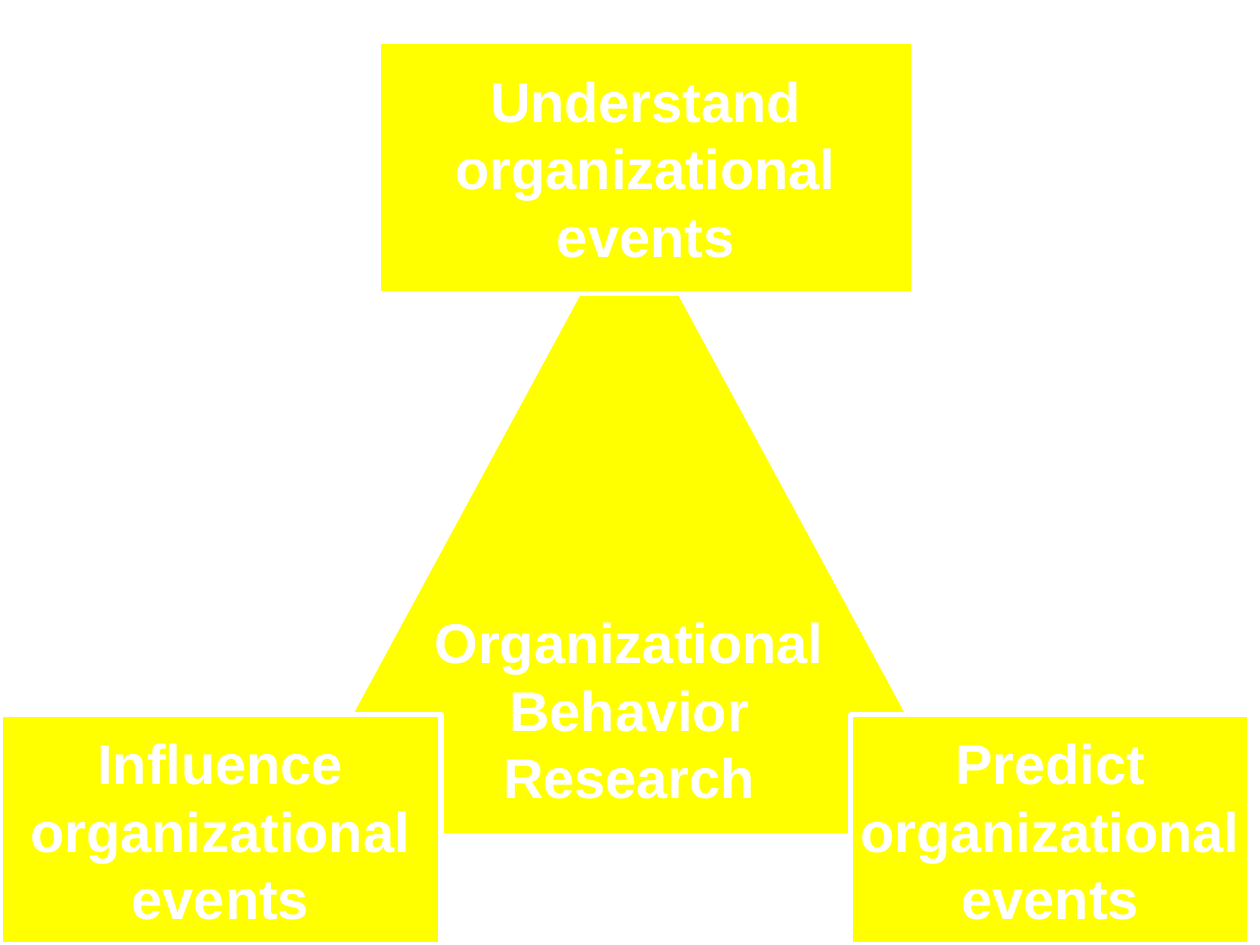
"""Draw the three aims of organizational behavior research around a triangle."""
from pptx import Presentation
from pptx import util as u
from pptx.dml.color import RGBColor
from pptx.enum import shapes, text

YELLOW = RGBColor(0xFF, 0xFF, 0x00)
WHITE = RGBColor(0xFF, 0xFF, 0xFF)
FONT = {"name": "Arial", "size": u.Pt(32), "bold": True}
FRAME = {
    "word_wrap": False,
    "vertical_anchor": text.MSO_ANCHOR.MIDDLE,
    "margin_left": u.Inches(0.1),
    "margin_right": u.Inches(0.1),
    "margin_top": u.Inches(0.05),
    "margin_bottom": u.Inches(0.05),
}
AIMS = [
    ("Understand", (3, 0.33, 4.25, 2)),
    ("Predict", (6.75, 5.67, 3.17, 1.83)),
    ("Influence", (0, 5.67, 3.5, 1.83)),
]


def style(item, form):
    for key, value in form.items():
        setattr(item, key, value)


def write(frame, lines, form):
    style(frame, form)
    frame.text = "\n".join(lines)
    for para in frame.paragraphs:
        para.alignment = text.PP_ALIGN.CENTER
        style(para.font, FONT)
        para.font.color.rgb = WHITE


def block(slide, kind, box, edge, lines, form=FRAME):
    shape = slide.shapes.add_shape(kind, *map(u.Inches, box))
    shape.shadow.inherit = False
    shape.fill.solid()
    shape.fill.fore_color.rgb = YELLOW
    shape.line.color.rgb = edge
    shape.line.width = u.Pt(3)
    write(shape.text_frame, lines, form)


def core(slide):
    low = {**FRAME, "margin_top": u.Inches(0.58)}
    block(slide, shapes.MSO_SHAPE.ISOSCELES_TRIANGLE,
          (2.33, 1.67, 5.33, 4.92), YELLOW,
          ["Organizational", "Behavior", "Research"], low)


def aim(slide, verb, box):
    block(slide, shapes.MSO_SHAPE.RECTANGLE, box, WHITE,
          [verb, "organizational", "events"])


def main():
    deck = Presentation()
    style(deck, {"slide_width": u.Inches(10), "slide_height": u.Inches(7.5)})
    slide = deck.slides.add_slide(deck.slide_layouts[6])
    core(slide)
    for verb, box in AIMS:
        aim(slide, verb, box)
    deck.save("out.pptx")


if __name__ == "__main__":
    main()
